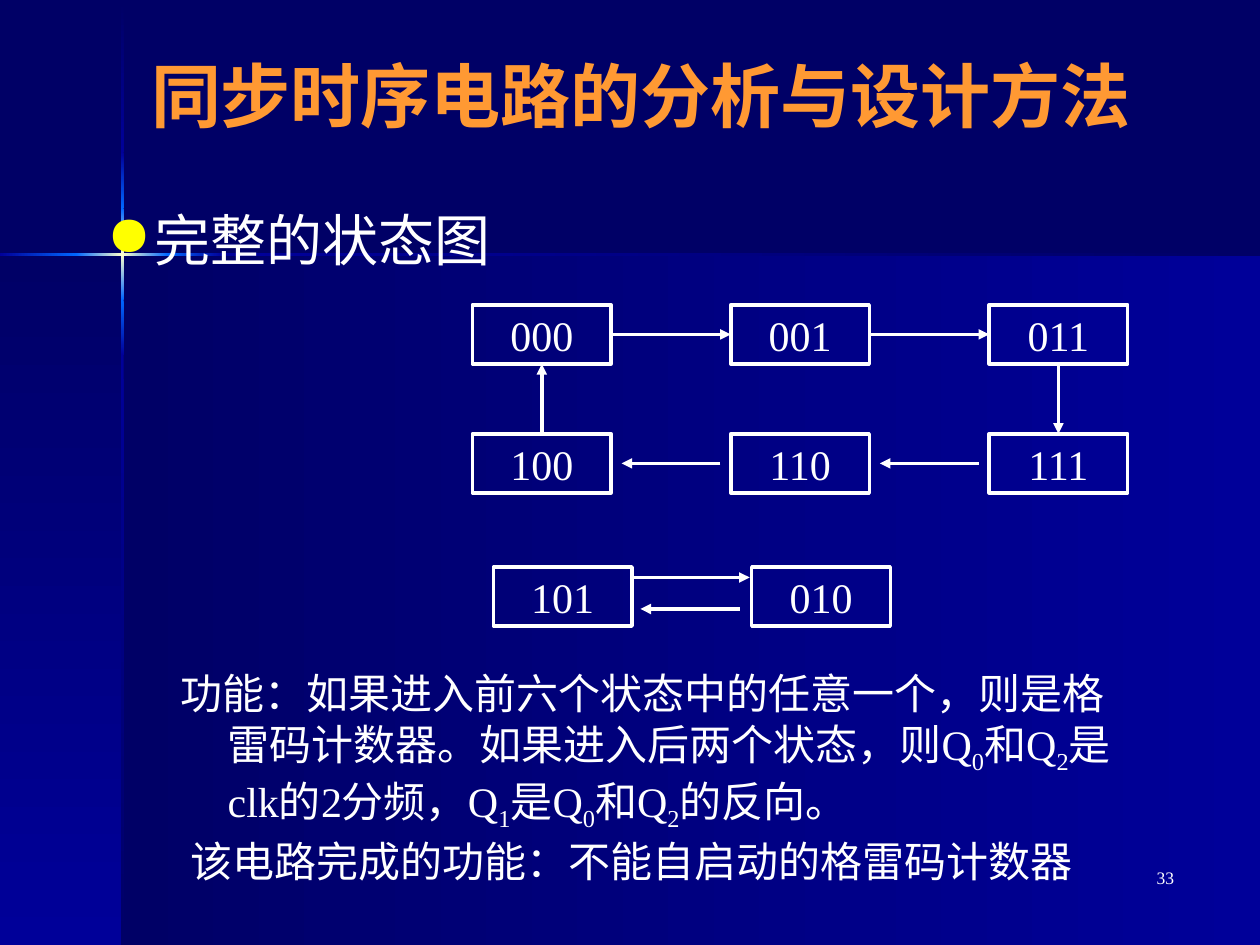
from copy import deepcopy

from lxml import etree
from pptx import Presentation
from pptx.dml.color import RGBColor
from pptx.enum import shapes, text
from pptx.oxml import ns
from pptx.util import Pt

COLORS = {"navy": "000066", "blue": "000099", "bright": "0066FF", "cream": "FFFFCC",
          "white": "FFFFFF", "orange": "FF9933", "yellow": "FFFF00"}
RGB = {name: RGBColor.from_string(value) for name, value in COLORS.items()}
SERIF = "Times New Roman"


def add_text(x, y, w, h, content, size, font=SERIF, color="white", bold=False, hanging=False):
    """Add a wrapped one-paragraph box; every second part between bars is a subscript."""
    tf = s.shapes.add_textbox(Pt(x), Pt(y), Pt(w), Pt(h)).text_frame
    tf.word_wrap = True
    p = tf.paragraphs[0]
    if hanging:
        pPr = p._p.get_or_add_pPr()
        pPr.set("marL", str(Pt(27)))
        pPr.set("indent", str(Pt(-27)))
    for i, part in enumerate(content.split("|")):
        r = p.add_run()
        r.text = part
        r.font.size, r.font.name, r.font.bold = Pt(size), font, bold
        r.font.color.rgb = RGB[color]
        if i % 2:
            r.font._element.set("baseline", "-25000")
    return tf


def add_arrow(x1, y1, x2, y2):
    c = s.shapes.add_connector(shapes.MSO_CONNECTOR.STRAIGHT, Pt(x1), Pt(y1), Pt(x2), Pt(y2))
    c.line.width = Pt(2)
    c.line.color.rgb = RGB["white"]
    etree.SubElement(c.line._get_or_add_ln(), ns.qn("a:tailEnd"), type="triangle")
    etree.SubElement(c._element.spPr, ns.qn("a:effectLst"))


prs = Presentation()
prs.slide_width, prs.slide_height = Pt(720), Pt(540)
s = prs.slides.add_slide(prs.slide_layouts[6])
s.background.fill.solid()
s.background.fill.fore_color.rgb = RGB["navy"]

# Background panels and the glowing cross: left, top, width, height, vertical gradient, stops
X, Y, THIN = 69.1, 144.8, 1.5
bands = [
    (70, 145.5, 650, 394.5, False, ("navy", "blue")),
    (0, 145.5, 70, 394.5, True, ("navy", "blue")),
    (X, 0.5, THIN, 86.5, True, ("navy", "blue")),
    (X, 203, THIN, 337, True, ("blue", "navy")),
    (127.5, Y, 592.5, THIN, False, ("blue", "navy")),
    (X, 171.5, THIN, 31.5, True, ("bright", "blue")),
    (X, 87, THIN, 32, True, ("blue", "bright")),
    (X, 119, THIN, 52.5, True, ("bright", "cream", "bright")),
    (0, Y, 43.5, THIN, False, ("blue", "bright")),
    (96, Y, 31.5, THIN, False, ("bright", "blue")),
    (43.5, Y, 52.5, THIN, False, ("bright", "cream", "bright")),
]
for x, y, w, h, vertical, stops in bands:
    sp = s.shapes.add_shape(shapes.MSO_SHAPE.RECTANGLE, Pt(x), Pt(y), Pt(w), Pt(h))
    sp.shadow.inherit = False
    sp.line.fill.background()
    sp.fill.gradient()
    sp.fill.gradient_angle = 270 if vertical else 0
    gs_list = sp._element.spPr.find(".//" + ns.qn("a:gsLst"))
    if len(stops) == 3:
        gs_list.insert(1, deepcopy(gs_list[0]))
    for i, (stop, name) in enumerate(zip(sp.fill.gradient_stops, stops)):
        stop.color.rgb = RGB[name]
        stop.position = i / (len(stops) - 1)

add_text(528, 492, 150, 36, "33", 10).paragraphs[0].alignment = text.PP_ALIGN.RIGHT

title = add_text(36, 24, 660, 60, "同步时序电路的分析与设计方法", 40, "Roboto", "orange", bold=True)
title.vertical_anchor = text.MSO_ANCHOR.MIDDLE
title.paragraphs[0].alignment = text.PP_ALIGN.CENTER

body = add_text(54, 114, 624, 366, "完整的状态图", 32, "Roboto", hanging=True)
pPr = body.paragraphs[0]._p.get_or_add_pPr()
bullet_color = etree.SubElement(pPr, ns.qn("a:buClr"))
etree.SubElement(bullet_color, ns.qn("a:srgbClr"), val=COLORS["yellow"])
etree.SubElement(pPr, ns.qn("a:buChar"), char="●")

# State boxes: two rows for the Gray-code loop, one for the separate pair
BOX_W, BOX_H, STEP, GAP = 79.2, 33.8, 147.6, 6
LEFT, TOP, LOWER = 270, 174.2, 247.9
PAIR_LEFT, PAIR_TOP = 282, 324
rows = [(LEFT, TOP, ("000", "001", "011")),
        (LEFT, LOWER, ("100", "110", "111")),
        (PAIR_LEFT, PAIR_TOP, ("101", "010"))]
for left, top, states in rows:
    for col, state in enumerate(states):
        sp = s.shapes.add_shape(shapes.MSO_SHAPE.RECTANGLE, Pt(left + col * STEP), Pt(top),
                                Pt(BOX_W), Pt(BOX_H))
        sp.shadow.inherit = False
        sp.fill.background()
        sp.line.width = Pt(2)
        sp.line.color.rgb = RGB["white"]
        tf = sp.text_frame
        tf.word_wrap = False
        tf.vertical_anchor = text.MSO_ANCHOR.MIDDLE
        tf.text = state
        p = tf.paragraphs[0]
        p.alignment = text.PP_ALIGN.CENTER
        font = p.runs[0].font
        font.size, font.name = Pt(24), SERIF
        font.color.rgb = RGB["white"]

for col in range(2):
    right, following = LEFT + col * STEP + BOX_W, LEFT + (col + 1) * STEP
    add_arrow(right, TOP + BOX_H / 2, following, TOP + BOX_H / 2)
    add_arrow(following - GAP, LOWER + BOX_H / 2, right + GAP, LOWER + BOX_H / 2)
first_mid, last_mid = LEFT + BOX_W / 2, LEFT + 2 * STEP + BOX_W / 2
add_arrow(first_mid, LOWER, first_mid, TOP + BOX_H)
add_arrow(last_mid, TOP + BOX_H, last_mid, LOWER)
add_arrow(360, 330, 428.4, 330)
add_arrow(422.6, 348, 366, 348)

add_text(96, 378, 564, 101.5,
         "功能：如果进入前六个状态中的任意一个，则是格雷码计数器。如果进入后两个状态，则Q|0|和Q|2|"
         "是clk的2分频，Q|1|是Q|0|和Q|2|的反向。", 24, hanging=True)
add_text(102, 474, 581, 36, "该电路完成的功能：不能自启动的格雷码计数器", 24)

prs.save("out.pptx")
